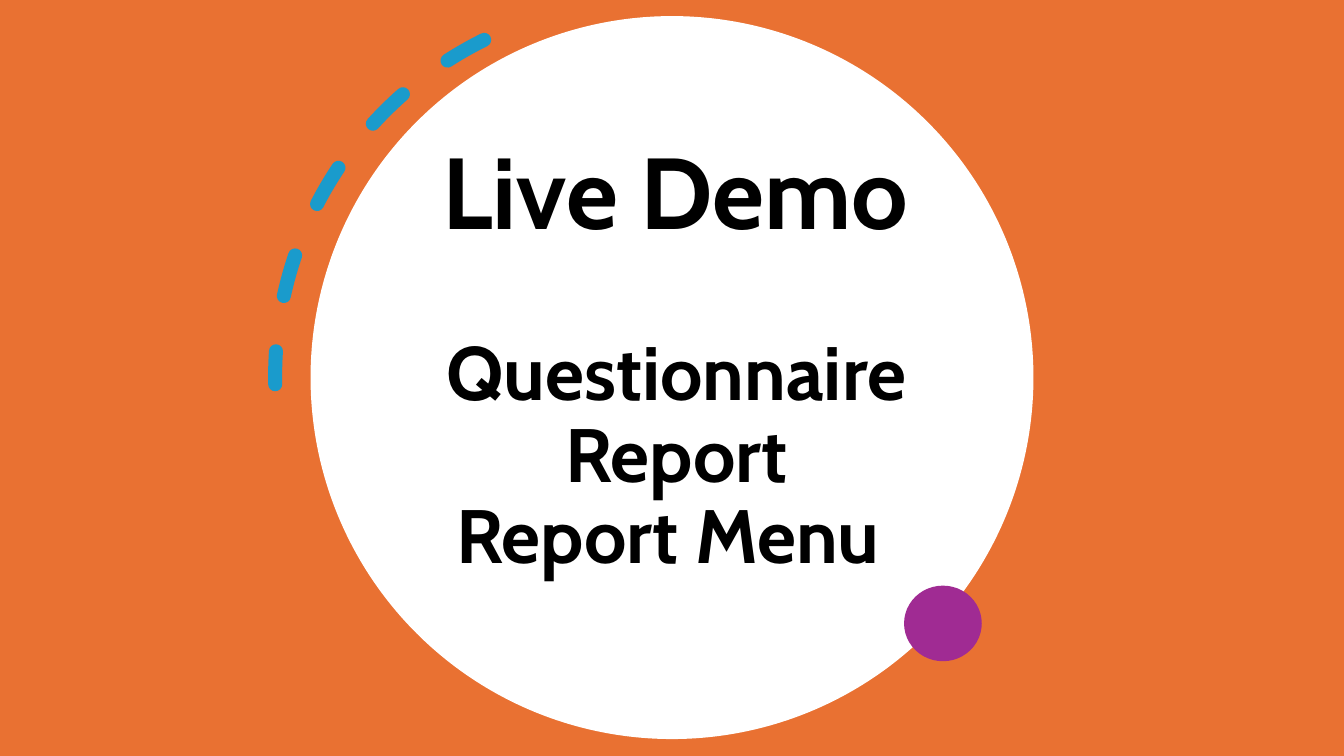
from lxml import etree
from pptx import Presentation
from pptx import util as u
from pptx.dml import color
from pptx.enum import dml, shapes, text
from pptx.oxml import ns

Pt = u.Pt
WIDTH, HEIGHT = 960, 540
HEADING = "Live Demo"
TOPICS = ["Questionnaire", "Report", "Report Menu "]
ORANGE, WHITE, BLUE, PURPLE, BLACK = "E97132", "FFFFFF", "0F9ED5", "A02B93", "000000"

# left, top, width, height in points
BACKDROP = (0, 0, WIDTH, HEIGHT)
DISC = (221.8, 11.5, 516.4, 516.4)
TITLE_BOX = (264.2, 232, 437.8, 186)
ARC_BOX = (196.5, 0.7, 536.4, 536.4)
DOT = (645.8, 418.3, 55.5, 54)
HEADING_BOX = (308.9, 88.6, 349.9, 94.3)


def rgb(value):
    return color.RGBColor.from_string(value)


def points(box):
    return [Pt(length) for length in box]


def add_filled(slide, kind, box, fill):
    shape = slide.shapes.add_shape(kind, *points(box))
    shape.shadow.inherit = False
    shape.fill.solid()
    shape.fill.fore_color.rgb = rgb(fill)
    shape.line.fill.background()


def write(frame, content, size, frame_format, paragraph_format):
    for name, value in frame_format.items():
        setattr(frame, name, value)
    paragraph = frame.paragraphs[0]
    paragraph.text = content
    for name, value in paragraph_format.items():
        setattr(paragraph, name, value)
    for run in paragraph.runs:
        for name, value in {"name": "Cabin", "size": Pt(size), "bold": True}.items():
            setattr(run.font, name, value)
        run.font.color.rgb = rgb(BLACK)


def add_dashed_arc(slide):
    arc = slide.shapes.add_shape(shapes.MSO_SHAPE.ARC, *points(ARC_BOX))
    arc.shadow.inherit = False
    arc.adjustments[0], arc.adjustments[1] = 162, 200.93
    arc.rotation = 153.7
    arc.fill.background()
    arc.line.color.rgb = rgb(BLUE)
    arc.line.width = Pt(10)
    arc.line.dash_style = dml.MSO_LINE.DASH
    properties = arc.element.spPr
    properties.find(ns.qn("a:xfrm")).set("flipV", "1")
    line = properties.find(ns.qn("a:ln"))
    line.set("cap", "rnd")
    stroke = line.find(".//" + ns.qn("a:srgbClr"))
    etree.SubElement(stroke, ns.qn("a:alpha")).set("val", "95000")


def main():
    presentation = Presentation()
    presentation.slide_width, presentation.slide_height = Pt(WIDTH), Pt(HEIGHT)
    slide = presentation.slides.add_slide(presentation.slide_layouts[5])
    title = slide.shapes.title

    add_filled(slide, shapes.MSO_SHAPE.RECTANGLE, BACKDROP, ORANGE)
    add_filled(slide, shapes.MSO_SHAPE.OVAL, DISC, WHITE)

    # The title stands in front of the disc
    slide.shapes[-1].element.addnext(title.element)
    title.left, title.top, title.width, title.height = points(TITLE_BOX)
    write(title.text_frame, "\v".join(TOPICS), 54,
          {"word_wrap": True, "auto_size": text.MSO_AUTO_SIZE.NONE,
           "vertical_anchor": text.MSO_ANCHOR.BOTTOM},
          {"alignment": text.PP_ALIGN.CENTER, "line_spacing": 0.9, "space_before": Pt(0)})

    add_dashed_arc(slide)
    add_filled(slide, shapes.MSO_SHAPE.OVAL, DOT, PURPLE)
    heading = slide.shapes.add_textbox(*points(HEADING_BOX))
    write(heading.text_frame, HEADING, 72,
          {"word_wrap": True, "auto_size": text.MSO_AUTO_SIZE.SHAPE_TO_FIT_TEXT},
          {"alignment": text.PP_ALIGN.LEFT})

    presentation.save("out.pptx")


if __name__ == "__main__":
    main()
